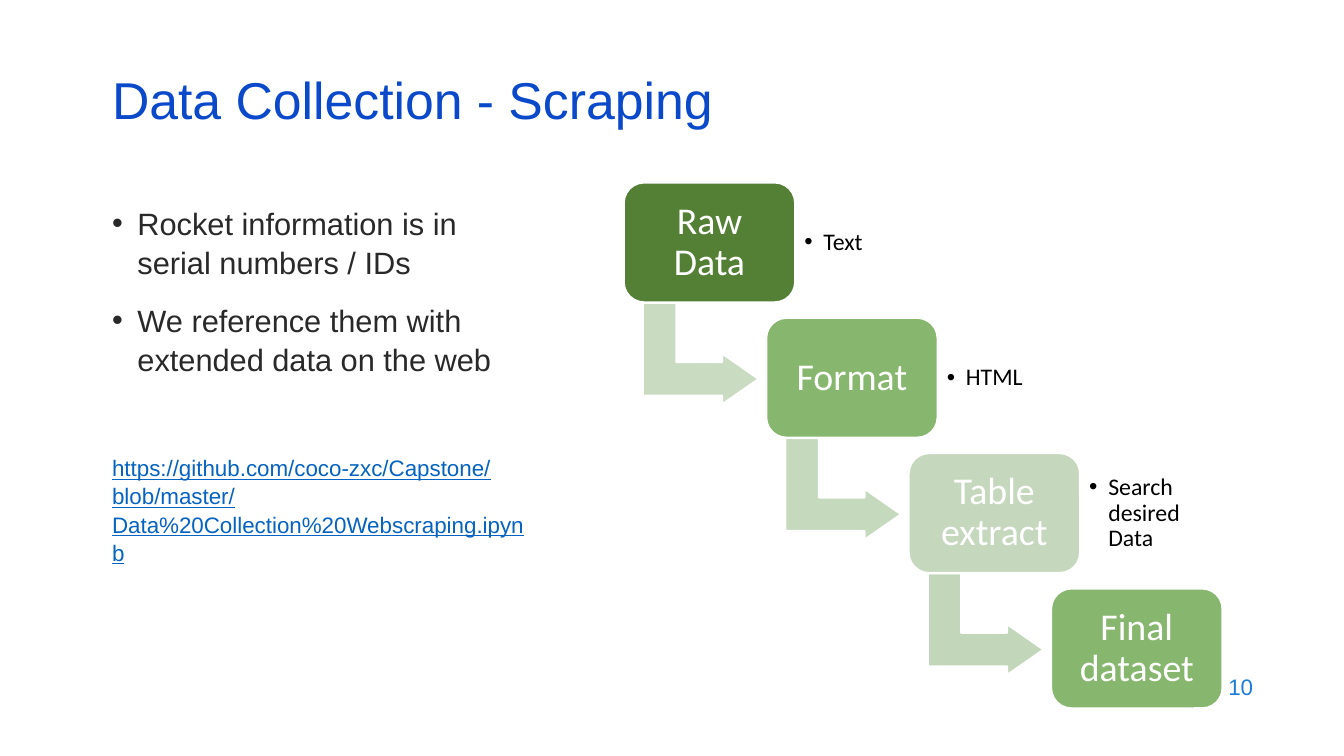
from lxml.etree import SubElement
from pptx import Presentation
from pptx.dml.color import RGBColor
from pptx.enum.shapes import MSO_SHAPE
from pptx.enum.text import MSO_ANCHOR, MSO_AUTO_SIZE, PP_ALIGN
from pptx.oxml.ns import qn
from pptx.util import Cm, Pt

WHITE = RGBColor(0xFF, 0xFF, 0xFF)
BLACK = RGBColor(0x00, 0x00, 0x00)
INK = RGBColor(0x29, 0x29, 0x29)
TITLE_BLUE = RGBColor(0x0B, 0x49, 0xCB)
NUMBER_BLUE = RGBColor(0x1C, 0x7D, 0xDB)
LINK_BLUE = RGBColor(0x05, 0x63, 0xC1)
DARK_GREEN = RGBColor(0x53, 0x80, 0x35)
GREEN = RGBColor(0x87, 0xB7, 0x6E)
PALE_GREEN = RGBColor(0xC5, 0xD8, 0xBD)
ARROW_GREENS = (RGBColor(0xC9, 0xDB, 0xC1), RGBColor(0xC5, 0xD9, 0xBD),
                RGBColor(0xC2, 0xD7, 0xB9))

STEPS = (("Raw Data", "Text", DARK_GREEN), ("Format", "HTML", GREEN),
         ("Table extract", "Search desired Data", PALE_GREEN),
         ("Final dataset", None, GREEN))
FIRST_LEFT, FIRST_TOP = 15.72, 4.6
STEP_RIGHT, STEP_DOWN = 3.59, 3.41
CARD_WIDTH, CARD_HEIGHT = 4.32, 3.02
LINK = ("https://github.com/coco-zxc/Capstone/blob/master/"
        "Data%20Collection%20Webscraping.ipynb")


class ScrapingPage:
    """Draws styled elements on the current slide."""

    heading_font = "Arial"
    diagram_font = "Calibri"

    def __init__(self, deck):
        """Add the slide to the deck."""
        self.page = deck.slides.add_slide(deck.slide_layouts[1])

    def place(self, item, left, top, width, height):
        """Move and size an element in centimetres."""
        item.left, item.top = Cm(left), Cm(top)
        item.width, item.height = Cm(width), Cm(height)

    def frame(self, item, anchor, inset=None):
        """Prepare the text frame of an element."""
        frame = item.text_frame
        frame.word_wrap = True
        frame.auto_size = MSO_AUTO_SIZE.NONE
        frame.vertical_anchor = anchor
        if inset is not None:
            frame.margin_left = frame.margin_right = Cm(inset)
            frame.margin_top = frame.margin_bottom = Cm(inset)
        return frame

    def add_text(self, para, text, font, size, color, align=PP_ALIGN.LEFT,
                 spacing=1.0, before=0, indent=0, underline=None):
        """Add one run to a paragraph, bulleted when it has an indent."""
        para.alignment = align
        para.line_spacing = spacing
        para.space_before = Pt(before)
        properties = para._p.get_or_add_pPr()
        properties.set("marL", str(Cm(indent)))
        properties.set("indent", str(-Cm(indent)))
        if indent:
            SubElement(properties, qn("a:buFont"), typeface="Arial")
            SubElement(properties, qn("a:buChar"), char="•")
        else:
            SubElement(properties, qn("a:buNone"))
        span = para.add_run()
        span.text = text
        span.font.name = font
        span.font.size = Pt(size)
        span.font.color.rgb = color
        span.font.underline = underline

    def title(self, text):
        """Fill the title placeholder."""
        box = self.page.shapes.title
        self.place(box, 2.57, 1.93, 29.21, 1.52)
        frame = self.frame(box, MSO_ANCHOR.MIDDLE)
        self.add_text(frame.paragraphs[0], text, self.heading_font, 37,
                      TITLE_BLUE, spacing=0.7)

    def body(self, points, link):
        """Fill the body placeholder with bullets and an address."""
        box = self.page.placeholders[1]
        self.place(box, 2.57, 4.98, 10.92, 10.59)
        frame = self.frame(box, MSO_ANCHOR.TOP)
        for index, point in enumerate(points):
            para = frame.add_paragraph() if index else frame.paragraphs[0]
            self.add_text(para, point, self.heading_font, 22, INK,
                          spacing=1.05, before=14 if index else 0, indent=0.64)
        self.add_text(frame.add_paragraph(), link, self.heading_font, 16,
                      LINK_BLUE, spacing=1.05, before=54, underline=True)

    def number(self, text):
        """Add the page number."""
        box = self.page.shapes.add_textbox(Cm(24.21), Cm(16.74), Cm(7.62), Cm(1.12))
        frame = self.frame(box, MSO_ANCHOR.MIDDLE)
        self.add_text(frame.paragraphs[0], text, self.heading_font, 16,
                      NUMBER_BLUE, PP_ALIGN.RIGHT)

    def shape(self, kind, left, top, width, height, fill, adjustments):
        """Add a filled shape with a white outline."""
        item = self.page.shapes.add_shape(kind, Cm(left), Cm(top), Cm(width), Cm(height))
        item.shadow.inherit = False
        item.fill.solid()
        item.fill.fore_color.rgb = fill
        item.line.color.rgb = WHITE
        item.line.width = Pt(1.5)
        for index, value in enumerate(adjustments):
            item.adjustments[index] = value
        return item

    def arrow(self, left, top, fill):
        """Add a bent arrow that leads to the next card."""
        item = self.shape(MSO_SHAPE.BENT_UP_ARROW, left, top, 2.56, 2.92,
                          fill, (0.33, 0.25, 0.36))
        item.rotation = 90

    def card(self, left, top, label, fill):
        """Add a rounded card with its label."""
        item = self.shape(MSO_SHAPE.ROUNDED_RECTANGLE, left, top,
                          CARD_WIDTH, CARD_HEIGHT, fill, (0.17,))
        frame = self.frame(item, MSO_ANCHOR.MIDDLE, 0.28)
        self.add_text(frame.paragraphs[0], label, self.diagram_font, 27, WHITE,
                      PP_ALIGN.CENTER, spacing=0.9)

    def detail(self, left, top, text):
        """Add the bullet beside a card."""
        box = self.page.shapes.add_textbox(Cm(left), Cm(top), Cm(3.15), Cm(2.44))
        frame = self.frame(box, MSO_ANCHOR.MIDDLE, 0.23)
        self.add_text(frame.paragraphs[0], text, self.diagram_font, 17, BLACK,
                      spacing=0.9, indent=0.48)


def main():
    """Build and save the slide."""
    deck = Presentation()
    deck.slide_width, deck.slide_height = Cm(33.87), Cm(19.05)
    page = ScrapingPage(deck)
    page.number("10")
    page.title("Data Collection - Scraping")
    page.body(("Rocket information is in serial numbers / IDs",
               "We reference them with extended data on the web"), LINK)
    for index, (label, detail, fill) in enumerate(STEPS):
        left = FIRST_LEFT + index * STEP_RIGHT
        top = FIRST_TOP + index * STEP_DOWN
        if index < len(ARROW_GREENS):
            page.arrow(left + 0.66, top + 2.85, ARROW_GREENS[index])
        page.card(left, top, label, fill)
        if detail:
            page.detail(left + CARD_WIDTH, top + 0.3, detail)
    deck.save("out.pptx")


if __name__ == "__main__":
    main()
